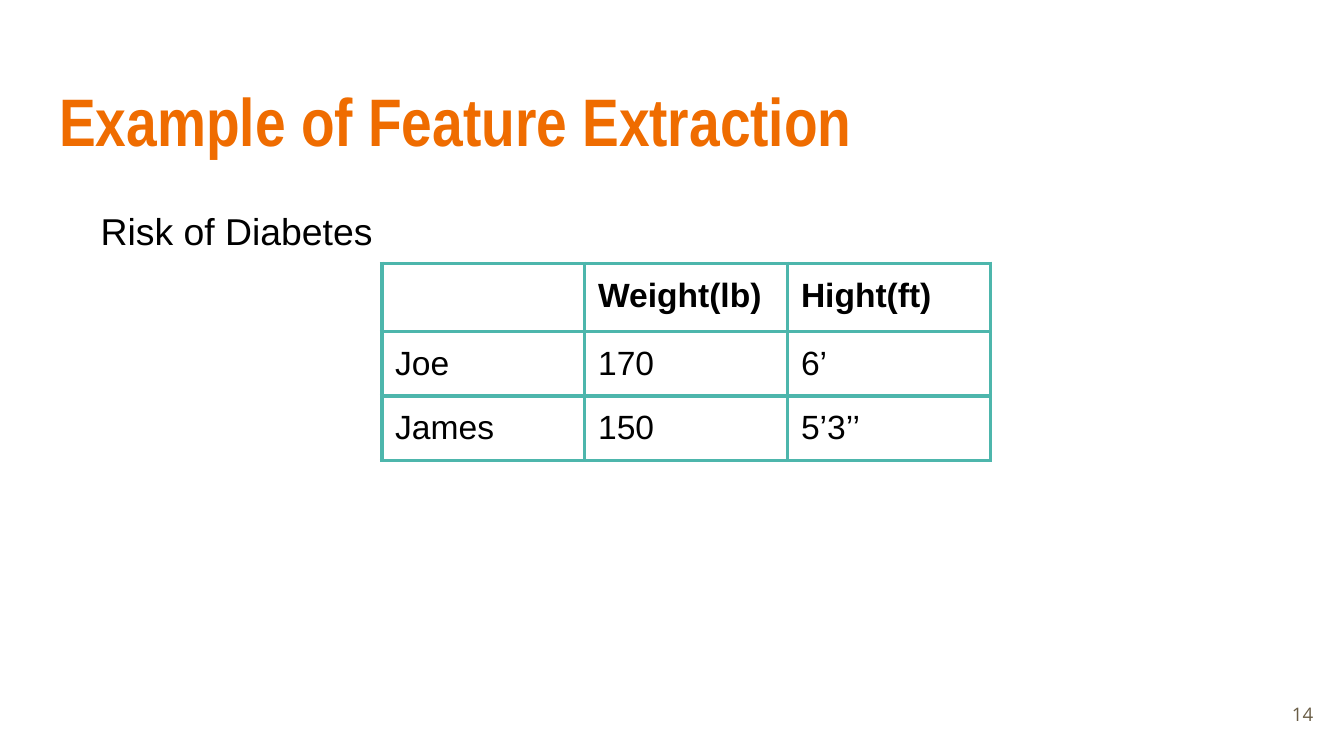
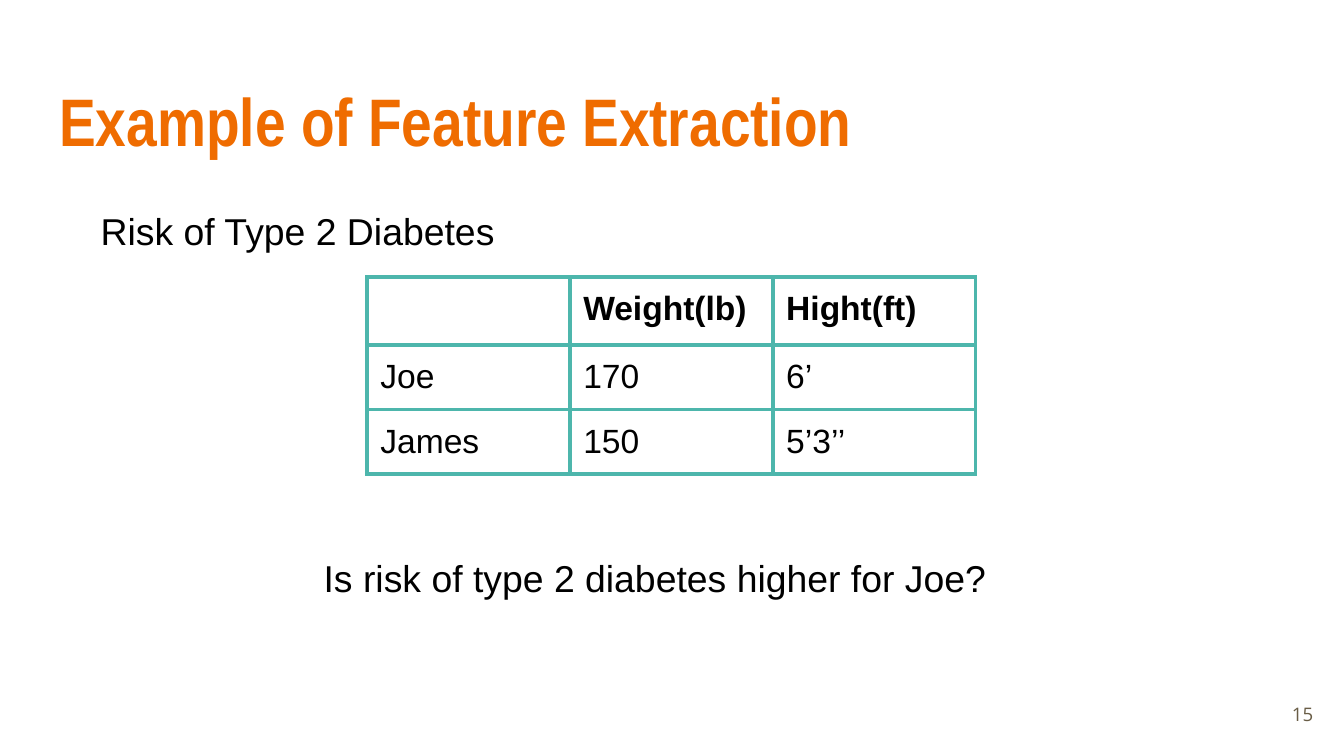
import lxml.etree
import pptx
import pptx.dml.color
import pptx.enum.text
import pptx.oxml.ns
import pptx.util

Inches = pptx.util.Inches
Pt = pptx.util.Pt
ALIGN = pptx.enum.text.PP_ALIGN
ANCHOR = pptx.enum.text.MSO_ANCHOR

ORANGE = "EF6C00"
TEAL = "4DB6AC"
BROWN = "695D46"
BLACK = "000000"
INSET = Inches(0.1)
COLUMN_WIDTH = Inches(1.51)
ROW_HEIGHT = Inches(0.43)
CELL_SIZE = Pt(18)
MEASUREMENTS = [
    ["", "Weight(lb)", "Hight(ft)"],
    ["Joe", "170", "6’"],
    ["James", "150", "5’3’’"],
]


def color(value):
    return pptx.dml.color.RGBColor.from_string(value)


def write(frame, text, size=Pt(20), font="Arial", fill=BLACK, bold=False,
          align=ALIGN.LEFT):
    para = frame.paragraphs[0]
    para.alignment = align
    span = para.add_run()
    span.text = text
    span.font.size = size
    span.font.name = font
    span.font.bold = bold
    span.font.color.rgb = color(fill)


def set_insets(target):
    """Give a text frame or a table cell the same inset on each side."""
    target.margin_left = target.margin_right = INSET
    target.margin_top = target.margin_bottom = INSET


def fill_box(box, at, text, anchor=ANCHOR.TOP, **text_format):
    box.left, box.top, box.width, box.height = map(Inches, at)
    frame = box.text_frame
    frame.word_wrap = True
    frame.auto_size = pptx.enum.text.MSO_AUTO_SIZE.NONE
    frame.vertical_anchor = anchor
    set_insets(frame)
    write(frame, text, **text_format)


def add_text(page, at, text, **text_format):
    box = page.shapes.add_textbox(0, 0, 0, 0)
    fill_box(box, at, text, **text_format)


def add_borders(cell):
    properties = cell._tc.get_or_add_tcPr()
    qn = pptx.oxml.ns.qn
    for position, side in enumerate(("a:lnL", "a:lnR", "a:lnT", "a:lnB")):
        line = lxml.etree.Element(qn(side), w=str(Pt(2.25)))
        solid = lxml.etree.SubElement(line, qn("a:solidFill"))
        lxml.etree.SubElement(solid, qn("a:srgbClr"), val=TEAL)
        properties.insert(position, line)


def size_empty_cell(cell):
    """Keep an empty cell from growing its row at the default text size."""
    para = cell.text_frame.paragraphs[0]._p
    end = lxml.etree.SubElement(para, pptx.oxml.ns.qn("a:endParaRPr"))
    end.set("sz", str(CELL_SIZE.centipoints))


def add_measurements(page, left, top):
    rows, columns = len(MEASUREMENTS), len(MEASUREMENTS[0])
    table = page.shapes.add_table(
        rows, columns, Inches(left), Inches(top),
        COLUMN_WIDTH * columns, ROW_HEIGHT * rows).table
    table.horz_banding = False
    for column in table.columns:
        column.width = COLUMN_WIDTH
    for row, values in enumerate(MEASUREMENTS):
        table.rows[row].height = ROW_HEIGHT
        for column, value in enumerate(values):
            cell = table.cell(row, column)
            cell.fill.background()
            set_insets(cell)
            add_borders(cell)
            if value:
                write(cell.text_frame, value, size=CELL_SIZE, bold=row == 0)
            else:
                size_empty_cell(cell)


def add_page(deck, number, topic):
    """Add a slide with the shared title, its topic line and its number."""
    page = deck.slides.add_slide(deck.slide_layouts[5])
    fill_box(page.shapes.title, (0.34, 0.49, 9.32, 0.77),
             "Example of Feature Extraction", size=Pt(36),
             font="Arial Narrow", fill=ORANGE, bold=True)
    add_text(page, (9.27, 5.1, 0.6, 0.43), str(number), size=Pt(10),
             font="Open Sans", fill=BROWN, align=ALIGN.RIGHT,
             anchor=ANCHOR.MIDDLE)
    add_text(page, (0.65, 1.45, 4.76, 0.51), topic)
    return page


def main():
    deck = pptx.Presentation()
    deck.slide_width = Inches(10)
    deck.slide_height = deck.slide_width * 9 // 16

    page = add_page(deck, 14, "Risk of Diabetes")
    add_measurements(page, 2.84, 1.96)

    page = add_page(deck, 15, "Risk of Type 2 Diabetes")
    add_text(page, (2.31, 4.03, 5.33, 1.01),
             "Is risk of type 2 diabetes higher for Joe?")
    add_measurements(page, 2.73, 2.06)

    deck.save("out.pptx")


if __name__ == "__main__":
    main()
